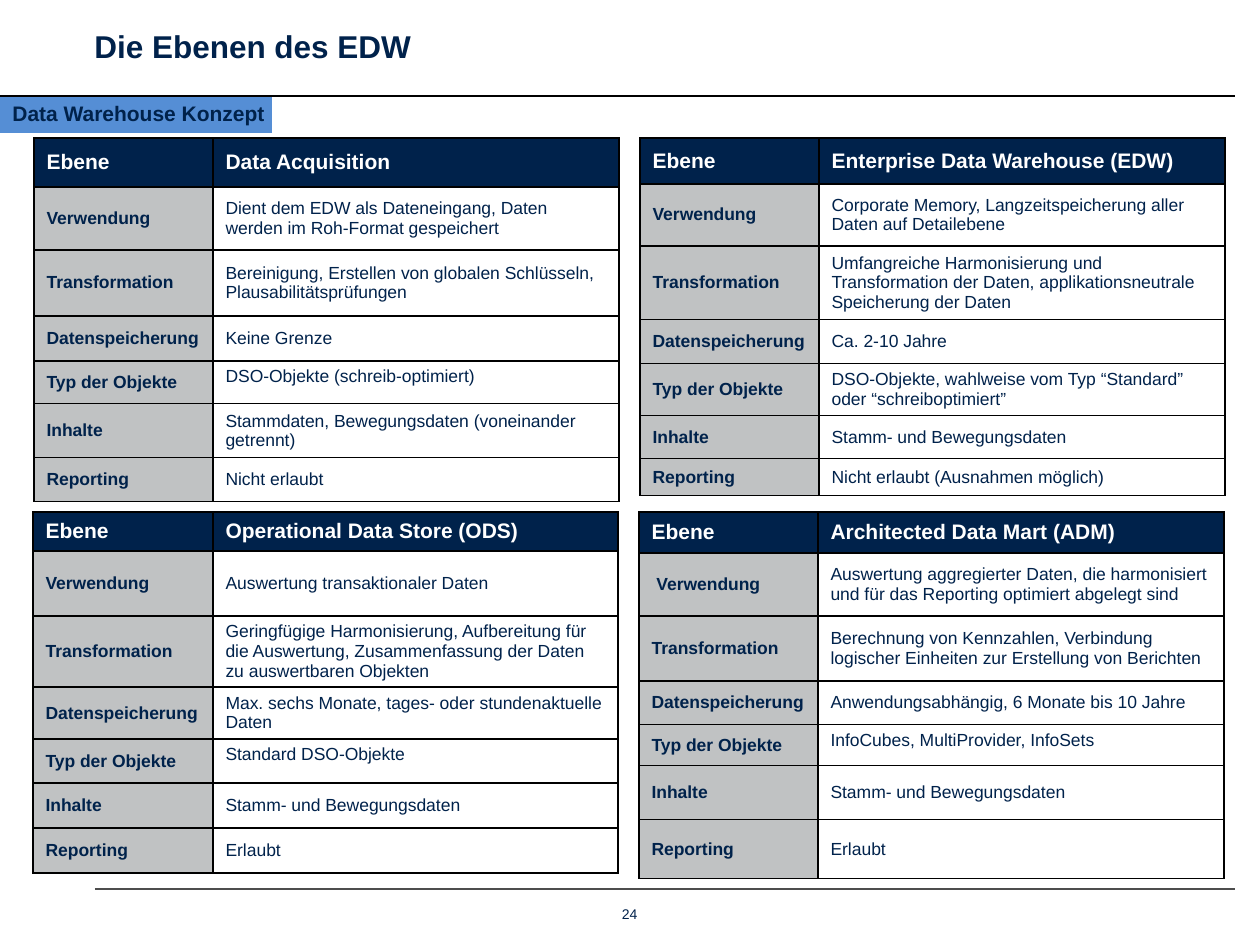
from lxml.etree import SubElement
from pptx import Presentation
from pptx.dml.color import RGBColor
from pptx.enum.shapes import MSO_CONNECTOR, MSO_SHAPE
from pptx.enum.text import MSO_ANCHOR, PP_ALIGN
from pptx.oxml.ns import qn
from pptx.util import Emu, Pt

NAVY, BLUE, GREY, WHITE, BLACK = "00224B", "558ED5", "C0C2C3", "FFFFFF", "000000"
LABELS = ["Ebene", "Verwendung", "Transformation", "Datenspeicherung",
          "Typ der Objekte", "Inhalte", "Reporting"]
LEVELS = [
    ((34, 138), (179, 406), [49, 63, 66, 45, 43, 54, 44], LABELS, [
        "Data Acquisition",
        "Dient dem EDW als Dateneingang, Daten werden im Roh-Format gespeichert",
        "Bereinigung, Erstellen von globalen Schlüsseln, Plausabilitätsprüfungen",
        "Keine Grenze",
        "DSO-Objekte (schreib-optimiert)",
        "Stammdaten, Bewegungsdaten (voneinander getrennt)",
        "Nicht erlaubt"]),
    ((640, 138), (179, 406), [46, 62, 74, 44, 52, 43, 37], LABELS, [
        "Enterprise Data Warehouse (EDW)",
        "Corporate Memory, Langzeitspeicherung aller Daten auf Detailebene",
        "Umfangreiche Harmonisierung und Transformation der Daten, "
        "applikationsneutrale Speicherung der Daten",
        "Ca. 2-10 Jahre",
        "DSO-Objekte, wahlweise vom Typ “Standard” oder “schreiboptimiert”",
        "Stamm- und Bewegungsdaten",
        "Nicht erlaubt (Ausnahmen möglich)"]),
    ((33, 512), (180, 405), [39, 65, 71, 52, 44, 45, 45], LABELS, [
        "Operational Data Store (ODS)",
        "Auswertung transaktionaler Daten",
        "Geringfügige Harmonisierung, Aufbereitung für die Auswertung, "
        "Zusammenfassung der Daten zu auswertbaren Objekten",
        "Max. sechs Monate, tages- oder stundenaktuelle Daten",
        "Standard DSO-Objekte",
        "Stamm- und Bewegungsdaten",
        "Erlaubt"]),
    ((639, 512), (179, 406), [41, 63, 65, 44, 41, 54, 59],
     ["Ebene", " Verwendung"] + LABELS[2:], [
        "Architected Data Mart (ADM)",
        "Auswertung aggregierter Daten, die harmonisiert und für das Reporting "
        "optimiert abgelegt sind",
        "Berechnung von Kennzahlen, Verbindung logischer Einheiten zur "
        "Erstellung von Berichten",
        "Anwendungsabhängig, 6 Monate bis 10 Jahre",
        "InfoCubes, MultiProvider, InfoSets",
        "Stamm- und Bewegungsdaten",
        "Erlaubt"]),
]


def px(length):
    """Turn px into EMU at 126 px to the inch."""
    return Emu(round(length * 914400 / 126))


def color(hex_code):
    """Turn a hex string into a colour."""
    return RGBColor.from_string(hex_code)


def style(para, size, hex_code, bold):
    """Set the font of a paragraph."""
    font = para.font
    font.name, font.size, font.bold = "Arial", Pt(size), bold
    font.color.rgb = color(hex_code)


def add_text(page, box, text, size, bold=True, align=PP_ALIGN.LEFT, margin_right=13):
    """Place one line of navy text in a box and return its paragraph."""
    frame = page.shapes.add_textbox(*map(px, box)).text_frame
    frame.word_wrap = True
    frame.margin_right = px(margin_right)
    frame.vertical_anchor = MSO_ANCHOR.MIDDLE
    para = frame.paragraphs[0]
    para.text, para.alignment = text, align
    style(para, size, NAVY, bold)
    return para


def add_rule(page, left, right, top, hex_code):
    """Draw a thin horizontal line."""
    rule = page.shapes.add_connector(
        MSO_CONNECTOR.STRAIGHT, px(left), px(top), px(right), px(top))
    rule.line.color.rgb = color(hex_code)
    rule.line.width = Pt(0.75)
    SubElement(rule._element.spPr, qn("a:effectLst"))


def add_borders(cell):
    """Give a cell thin black borders on all sides."""
    properties = cell._tc.get_or_add_tcPr()
    for side in ("lnL", "lnR", "lnT", "lnB"):
        line = SubElement(properties, qn(f"a:{side}"), w=str(Pt(0.75)))
        fill = SubElement(line, qn("a:solidFill"))
        SubElement(fill, qn("a:srgbClr"), val=BLACK)


def fill_cell(cell, text, row, column):
    """Write and style one cell according to its row and column."""
    header, label = row == 0, column == 0
    cell.text = text
    top = LABELS[row] == "Typ der Objekte" and not label
    cell.vertical_anchor = MSO_ANCHOR.TOP if top else MSO_ANCHOR.MIDDLE
    cell.margin_top = px(6 if top else 4)
    cell.margin_bottom = px(3 if top else 4)
    style(cell.text_frame.paragraphs[0], 12 if header else 10,
          WHITE if header else NAVY, header or label)
    add_borders(cell)
    if header or label:
        cell.fill.solid()
        cell.fill.fore_color.rgb = color(NAVY if header else GREY)
    else:
        cell.fill.background()


def add_level(page, corner, widths, heights, labels, values):
    """Build the table that describes one level of the warehouse."""
    box = (*corner, sum(widths), sum(heights))
    table = page.shapes.add_table(len(heights), len(widths), *map(px, box)).table
    table.horz_banding = False
    for column, width in zip(table.columns, widths):
        column.width = px(width)
    for row, (height, *texts) in enumerate(zip(heights, labels, values)):
        table.rows[row].height = px(height)
        for column, text in enumerate(texts):
            fill_cell(table.cell(row, column), text, row, column)


def add_header(page, box):
    """Place the title, the rule below it and the chapter tag."""
    left, top, width, height = box
    tag_box = (left, top + height, 272, 37)
    tag = page.shapes.add_shape(MSO_SHAPE.RECTANGLE, *map(px, tag_box))
    tag.shadow.inherit = False
    tag.fill.solid()
    tag.fill.fore_color.rgb = color(BLUE)
    tag.line.fill.background()
    add_rule(page, left, left + width, top + height, BLACK)
    add_text(page, (left + 82, top + 6, 985, 79), "Die Ebenen des EDW", 18)
    para = add_text(page, tag_box, "Data Warehouse Konzept", 12, margin_right=0)
    para.line_spacing = 0.9


def add_footer(page, box):
    """Place the bottom rule and the page number."""
    left, top, width, height = box
    add_rule(page, left, left + width, top, "4D4D4D")
    add_text(page, (571, top + 10, 118, height - 10), "24", 8, False, PP_ALIGN.CENTER)


def main():
    """Build the slide and save it."""
    deck = Presentation()
    deck.slide_width, deck.slide_height = px(1260), px(945)
    page = deck.slides.add_slide(deck.slide_layouts[6])
    add_header(page, (0, 0, 1235, 96))
    for level in LEVELS:
        add_level(page, *level)
    add_footer(page, (95, 889, 1140, 39))
    deck.save("out.pptx")


if __name__ == "__main__":
    main()
